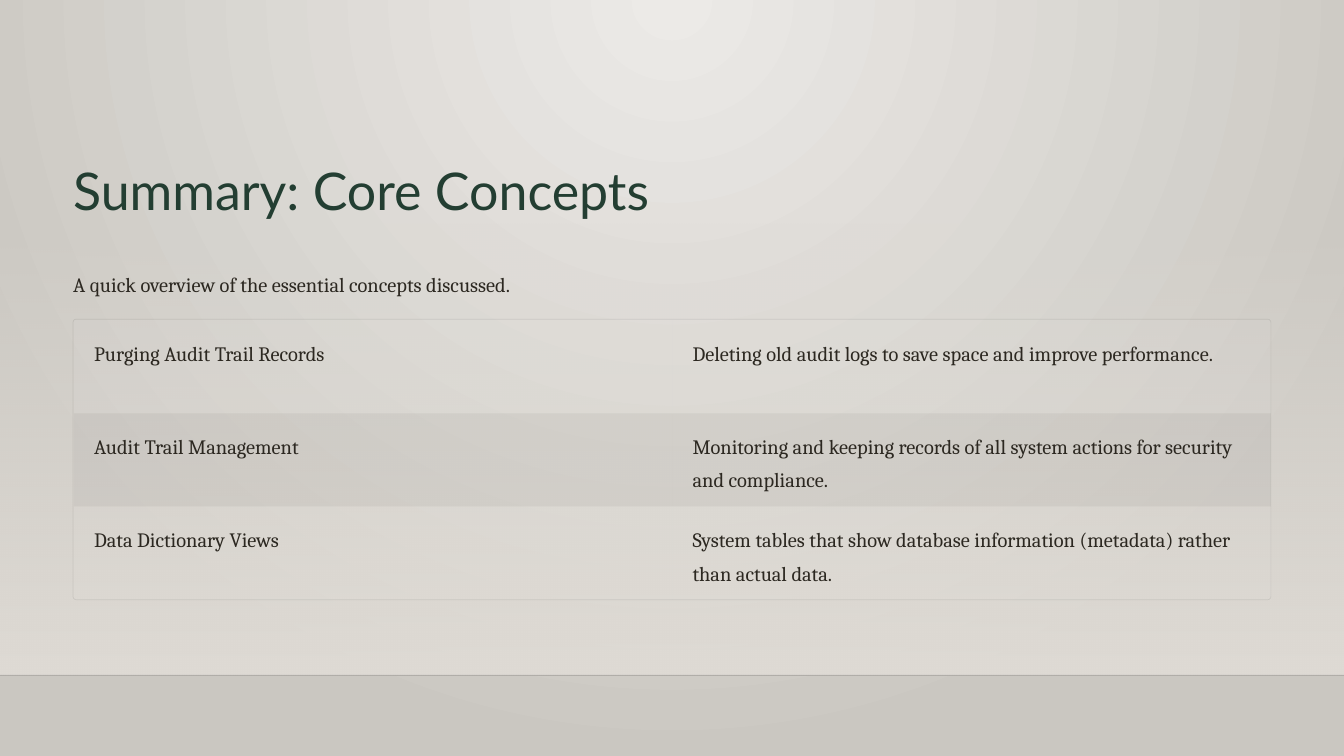
import pptx
import pptx.dml.color
import pptx.enum.shapes
import pptx.enum.text
import pptx.oxml
import pptx.oxml.ns
import pptx.util

RGBColor = pptx.dml.color.RGBColor
Inches = pptx.util.Inches
Pt = pptx.util.Pt
SHAPE = pptx.enum.shapes.MSO_SHAPE

TITLE = "Summary: Core Concepts"
INTRO = "A quick overview of the essential concepts discussed."
CONCEPTS = [
    ("Purging Audit Trail Records",
     "Deleting old audit logs to save space and improve performance."),
    ("Audit Trail Management",
     "Monitoring and keeping records of all system actions for security and compliance."),
    ("Data Dictionary Views",
     "System tables that show database information (metadata) rather than actual data."),
]

GREEN = RGBColor(0x23, 0x3E, 0x32)
INK = RGBColor(0x2C, 0x28, 0x21)
LIGHT = RGBColor(0xEC, 0xEA, 0xE7)
STONE = RGBColor(0xCA, 0xC7, 0xC1)
SAND = RGBColor(0xDF, 0xDB, 0xD5)
WHITE = RGBColor(0xFF, 0xFF, 0xFF)
BLACK = RGBColor(0, 0, 0)

WIDTH, HEIGHT = 16, 9
MARGIN = 0.87
CONTENT = WIDTH - 2 * MARGIN
WALL_TOP, FLOOR = 2.65, 8.04
FRAME_TOP, ROW, INSET = 3.8, 1.11, 0.01
PAD_X, PAD_Y = 0.24, 0.16
NO_GRID = "{2D5ABB26-0587-4C30-8999-92F81FD0307C}"


def add_child(parent, tag, **attributes):
    child = pptx.oxml.parse_xml(f"<{tag} {pptx.oxml.ns.nsdecls('a')}/>")
    for name, value in attributes.items():
        child.set(name, str(value))
    parent.append(child)
    return child


def set_alpha(color, percent):
    add_child(color, "a:alpha", val=percent * 1000)


def set_gradient(fill, colors):
    fill.gradient()
    for stop, color in zip(fill.gradient_stops, colors):
        stop.color.rgb = color


def set_line(shape, color, width, alpha):
    shape.line.color.rgb = color
    shape.line.width = Pt(width)
    set_alpha(shape.element.xpath("./p:spPr/a:ln//a:srgbClr")[0], alpha)


def write(frame, text, font="Cambria", size=17.5, color=INK, spacing=28.5):
    para = frame.paragraphs[0]
    para.line_spacing = Pt(spacing)
    span = para.add_run()
    span.text = text
    span.font.name = font
    span.font.size = Pt(size)
    span.font.color.rgb = color


def add_text(page, top, width, height, text, **style):
    box = page.shapes.add_textbox(*map(Inches, (MARGIN, top, width, height)))
    frame = box.text_frame
    frame.margin_left = frame.margin_right = frame.margin_top = frame.margin_bottom = 0
    frame.word_wrap = False
    write(frame, text, **style)


def add_backdrop(page):
    set_gradient(page.background.fill, (LIGHT, STONE))
    gradient = page.element.xpath(".//p:bg//a:gradFill")[0]
    gradient.remove(gradient.xpath("./a:lin")[0])
    circle = add_child(gradient, "a:path", path="circle")
    add_child(circle, "a:fillToRect", l=43000, t=0, r=43000, b=100000)

    wall = page.shapes.add_shape(
        SHAPE.RECTANGLE, *map(Inches, (0, WALL_TOP, WIDTH, FLOOR - WALL_TOP)))
    wall.shadow.inherit = False
    wall.line.fill.background()
    set_gradient(wall.fill, (SAND, SAND))
    wall.fill.gradient_angle = 270
    set_alpha(wall.element.xpath("./p:spPr//a:srgbClr")[0], 0)

    edge = page.shapes.add_connector(
        pptx.enum.shapes.MSO_CONNECTOR.STRAIGHT, *map(Inches, (0, FLOOR, WIDTH, FLOOR)))
    set_line(edge, BLACK, 1, 20)
    add_child(edge.element.spPr, "a:effectLst")


def add_concepts(page):
    rows = len(CONCEPTS)
    outline = page.shapes.add_shape(
        SHAPE.ROUNDED_RECTANGLE,
        *map(Inches, (MARGIN, FRAME_TOP, CONTENT, rows * ROW + INSET)))
    outline.adjustments[0] = 0.011
    outline.shadow.inherit = False
    outline.fill.background()
    set_line(outline, BLACK, 0.6, 8)

    holder = page.shapes.add_table(
        rows, 2, *map(Inches, (MARGIN + INSET, FRAME_TOP + INSET,
                               CONTENT - INSET, rows * ROW)))
    table = holder.table
    table.first_row = table.horz_banding = False
    holder.element.xpath(".//a:tableStyleId")[0].text = NO_GRID
    for index, concept in enumerate(CONCEPTS):
        table.rows[index].height = Inches(ROW)
        for column, text in enumerate(concept):
            cell = table.cell(index, column)
            cell.margin_left = cell.margin_right = Inches(PAD_X)
            cell.margin_top = Inches(PAD_Y)
            cell.margin_bottom = 0
            cell.vertical_anchor = pptx.enum.text.MSO_ANCHOR.TOP
            cell.fill.solid()
            cell.fill.fore_color.rgb = BLACK if index % 2 else WHITE
            write(cell.text_frame, text)
    for color in holder.element.xpath(".//a:tcPr/a:solidFill/a:srgbClr"):
        set_alpha(color, 4)


def main():
    deck = pptx.Presentation()
    deck.slide_width, deck.slide_height = Inches(WIDTH), Inches(HEIGHT)
    page = deck.slides.add_slide(deck.slide_layouts[6])
    add_backdrop(page)
    add_text(page, 1.86, 7.02, 0.78, TITLE,
             font="Lato", size=44.5, color=GREEN, spacing=55.5)
    add_text(page, 3.13, CONTENT, 0.4, INTRO)
    add_concepts(page)
    deck.save("out.pptx")


if __name__ == "__main__":
    main()
